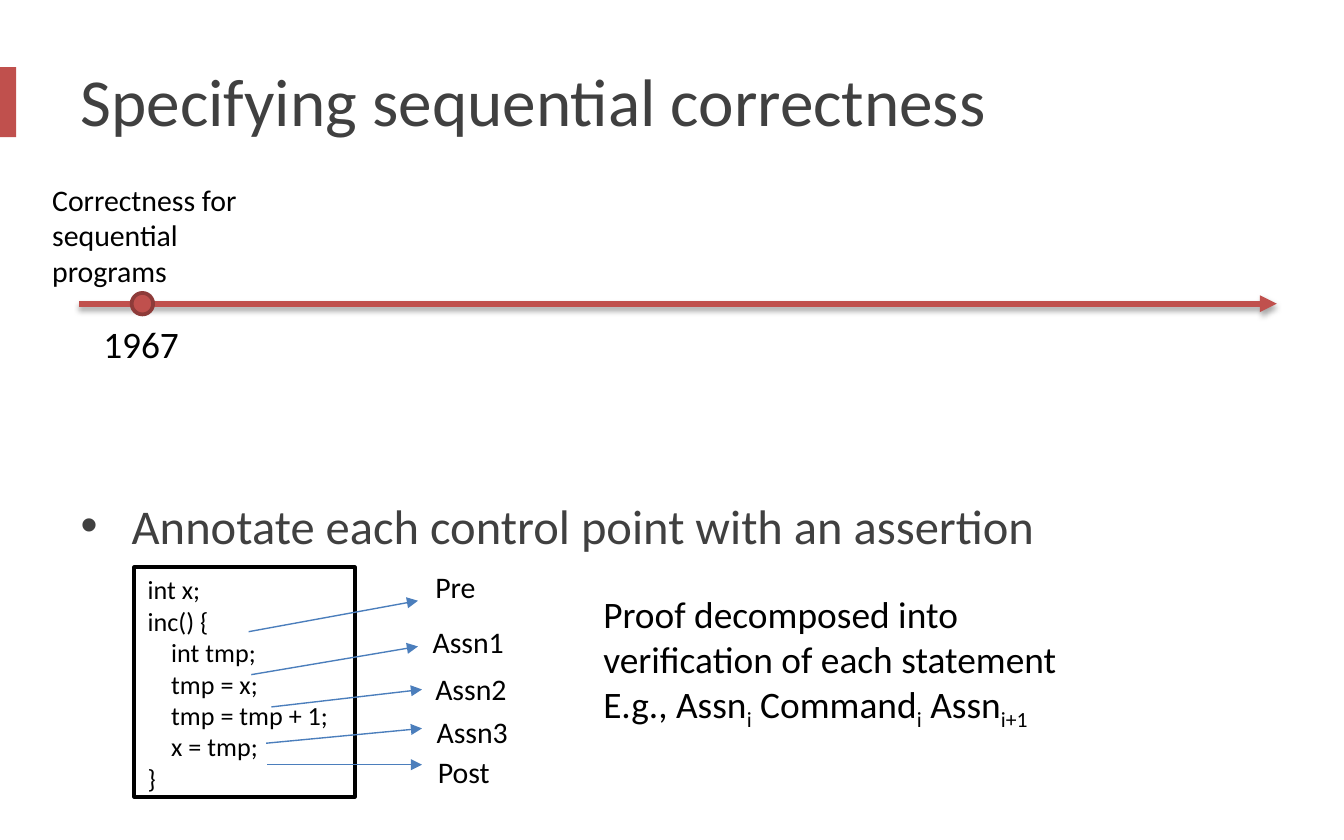
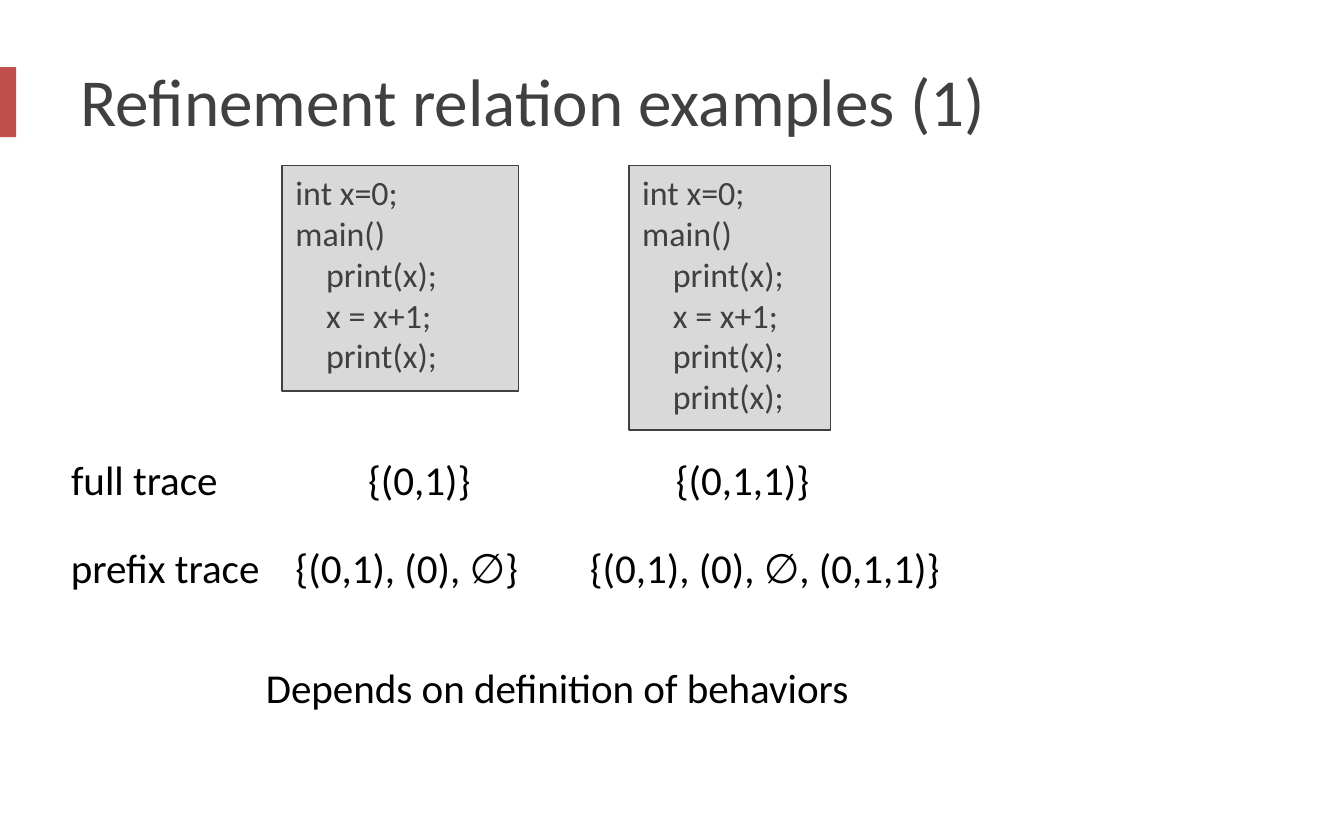
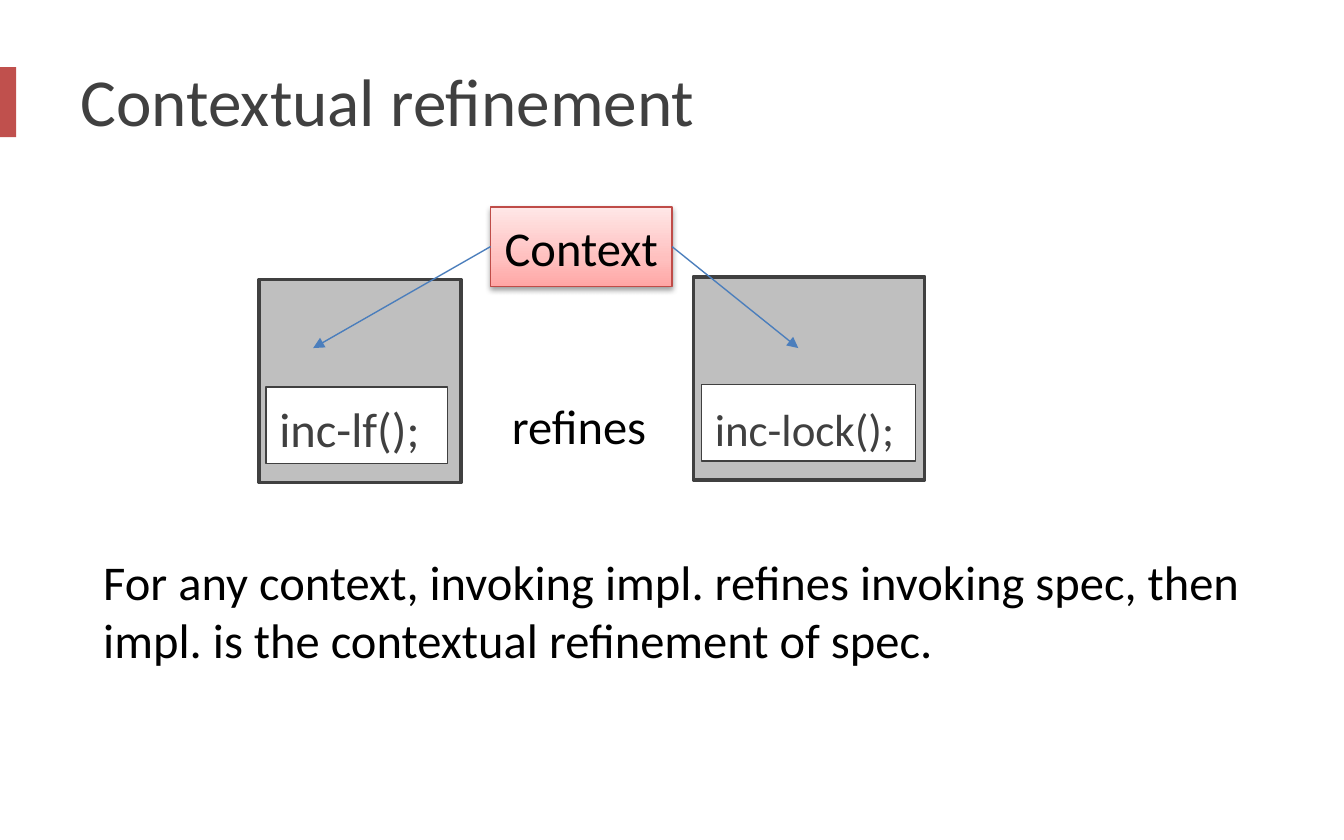
from dataclasses import dataclass
from typing import NamedTuple, Optional

from lxml.etree import SubElement
from pptx import Presentation
from pptx.dml.color import RGBColor
from pptx.enum.shapes import MSO_CONNECTOR, MSO_SHAPE
from pptx.enum.text import MSO_ANCHOR, MSO_AUTO_SIZE, PP_ALIGN
from pptx.oxml.ns import qn
from pptx.util import Inches, Pt

FONT = "Calibri"
BLACK = RGBColor(0x00, 0x00, 0x00)
WHITE = RGBColor(0xFF, 0xFF, 0xFF)
DARK = RGBColor(0x40, 0x40, 0x40)
LIGHT_GRAY = RGBColor(0xD9, 0xD9, 0xD9)
GRAY = RGBColor(0xBF, 0xBF, 0xBF)
RED = RGBColor(0xC0, 0x50, 0x4D)
DARK_RED = RGBColor(0x8E, 0x3B, 0x39)
CONTEXT_RED = RGBColor(0xBF, 0x4C, 0x48)
BLUE = RGBColor(0x4B, 0x7E, 0xBC)
CONTEXT_STOPS = ((0, "FFA6A5"), (35, "FFC0BF"), (100, "FFE7E7"))

TITLE_AND_CONTENT, TITLE_ONLY = 1, 5


class Label(NamedTuple):
    text: str
    x: float
    y: float
    w: float
    h: float
    size: float


@dataclass
class Box:
    x: float
    y: float
    w: float
    h: float
    fill: Optional[RGBColor]
    line: Optional[RGBColor]
    width: float = 0.75
    text: str = ""
    size: float = 18
    color: RGBColor = DARK
    spacing: float = 1.0
    shape: MSO_SHAPE = MSO_SHAPE.RECTANGLE


class Arrow(NamedTuple):
    x1: float
    y1: float
    x2: float
    y2: float
    color: RGBColor = BLUE
    width: float = 0.75


# Helpers
def place(sp, x: float, y: float, w: float, h: float) -> None:
    sp.left, sp.top, sp.width, sp.height = map(Inches, (x, y, w, h))


def style_run(r, size: float, color: RGBColor) -> None:
    r.font.name = FONT
    r.font.size = Pt(size)
    r.font.color.rgb = color


def style_text(tf, size: float, color: RGBColor, align=PP_ALIGN.LEFT, spacing: float = 1.0) -> None:
    for p in tf.paragraphs:
        p.alignment = align
        p.line_spacing = spacing
        for r in p.runs:
            style_run(r, size, color)


def add_label(s, label: Label):
    sp = s.shapes.add_textbox(*map(Inches, label[1:5]))
    tf = sp.text_frame
    tf.word_wrap = True
    tf.auto_size = MSO_AUTO_SIZE.SHAPE_TO_FIT_TEXT
    tf.text = label.text
    style_text(tf, label.size, BLACK)
    return sp


def add_box(s, box: Box):
    sp = s.shapes.add_shape(box.shape, *map(Inches, (box.x, box.y, box.w, box.h)))
    sp.shadow.inherit = False
    if box.fill is not None:
        sp.fill.solid()
        sp.fill.fore_color.rgb = box.fill
    if box.line is None:
        sp.line.fill.background()
    else:
        sp.line.color.rgb = box.line
        sp.line.width = Pt(box.width)
    if box.text:
        tf = sp.text_frame
        tf.vertical_anchor = MSO_ANCHOR.TOP
        tf.text = box.text
        style_text(tf, box.size, box.color, spacing=box.spacing)
    return sp


def add_arrow(s, arrow: Arrow):
    cx = s.shapes.add_connector(MSO_CONNECTOR.STRAIGHT, *map(Inches, arrow[:4]))
    cx.line.color.rgb = arrow.color
    cx.line.width = Pt(arrow.width)
    SubElement(cx.line._get_or_add_ln(), qn("a:tailEnd"), type="triangle")
    SubElement(cx.element.spPr, qn("a:effectLst"))
    return cx


def add_shadow(sp, alpha: int, blur: float, dist: float) -> None:
    """Drop a black shadow straight down."""
    effects = sp.element.spPr.find(qn("a:effectLst"))
    shadow = SubElement(effects, qn("a:outerShdw"), blurRad=str(Pt(blur)), dist=str(Pt(dist)),
                        dir="5400000", rotWithShape="0")
    color = SubElement(shadow, qn("a:srgbClr"), val="000000")
    SubElement(color, qn("a:alpha"), val=str(alpha * 1000))


def fill_gradient(sp, stops, angle: float) -> None:
    sp.fill.gradient()
    sp.fill.gradient_angle = angle
    gs_list = sp.element.spPr.find(".//" + qn("a:gsLst"))
    for gs in list(gs_list):
        gs_list.remove(gs)
    for position, color in stops:
        gs = SubElement(gs_list, qn("a:gs"), pos=str(position * 1000))
        SubElement(gs, qn("a:srgbClr"), val=color)


def add_slide(prs, layout: int, title: str):
    s = prs.slides.add_slide(prs.slide_layouts[layout])
    sp = s.shapes.title
    place(sp, 0.5, 0.25, 9, 0.98)
    tf = sp.text_frame
    tf.text = title
    tf.vertical_anchor = MSO_ANCHOR.MIDDLE
    tf.auto_size = MSO_AUTO_SIZE.NONE
    style_text(tf, 36, DARK)
    return s


def add_master_band(prs, s) -> None:
    """Move the red band to the master, behind everything else."""
    band = add_box(s, Box(-0.06, 0.5, 0.18, 0.52, RED, None))
    prs.slide_master.shapes.element.insert(2, band.element)


# Slides
def sequential_slide(prs):
    s = add_slide(prs, TITLE_AND_CONTENT, "Specifying sequential correctness")

    # Bullet
    body = s.placeholders[1]
    place(body, 0.5, 3.55, 9, 0.64)
    tf = body.text_frame
    tf.auto_size = MSO_AUTO_SIZE.NONE
    tf.text = "Annotate each control point with an assertion"
    p = tf.paragraphs[0]
    pPr = p._p.get_or_add_pPr()
    pPr.set("marL", str(Inches(0.38)))
    pPr.set("indent", str(-Inches(0.38)))
    SubElement(pPr, qn("a:buChar"), char="•")
    p.space_before = Pt(0)
    style_text(tf, 26, DARK, spacing=1.2)

    # Timeline
    timeline = add_arrow(s, Arrow(0.59, 2.26, 9.5, 2.26, RED, 3))
    add_shadow(timeline, 35, 3.1, 1.8)
    add_box(s, Box(0.98, 2.18, 0.16, 0.16, RED, DARK_RED, 2, shape=MSO_SHAPE.OVAL))
    add_label(s, Label("1967", 0.67, 2.34, 0.79, 0.44, 20))
    add_label(s, Label("Correctness for sequential programs", 0.29, 1.3, 1.97, 0.91, 16))

    # Program and its assertions
    program = "int x;\ninc() {\n    int tmp;\n    tmp = x;\n    tmp = tmp + 1;\n    x = tmp;\n}"
    add_box(s, Box(1, 4.22, 1.64, 1.71, WHITE, BLACK, 2, program, 14, BLACK))
    assertions = [
        ("Pre", 3.14, 4.18, Arrow(1.85, 4.7, 3.11, 4.47)),
        ("Assn1", 3.12, 4.59, Arrow(1.87, 5.02, 3.11, 4.81)),
        ("Assn2", 3.14, 4.94, Arrow(2.02, 5.26, 3.14, 5.13)),
        ("Assn3", 3.15, 5.26, Arrow(1.98, 5.53, 3.14, 5.42)),
        ("Post", 3.16, 5.56, Arrow(1.99, 5.69, 3.14, 5.69)),
    ]
    for name, x, y, arrow in assertions:
        add_arrow(s, arrow)
        add_label(s, Label(name, x, y, 0.92, 0.37, 16))

    # Proof rule with subscripts
    proof = add_label(s, Label("Proof decomposed into verification of each statement",
                               4.39, 4.35, 3.99, 1.11, 20))
    p = proof.text_frame.add_paragraph()
    for base, index in (("E.g., Assn", "i"), (" Command", "i"), (" Assn", "i+1")):
        for text, offset in ((base, 0), (index, -25000)):
            r = p.add_run()
            r.text = text
            style_run(r, 20, BLACK)
            if offset:
                r._r.get_or_add_rPr().set("baseline", str(offset))
    return s


def refinement_slide(prs) -> None:
    s = add_slide(prs, TITLE_ONLY, "Refinement relation examples (1)")

    # Two programs; the second prints once more
    program = "int x=0;\nmain()\n    print(x);\n    x = x+1;\n    print(x);"
    for x, w, h, code in ((2.1, 1.76, 1.68, program),
                          (4.68, 1.5, 1.97, program + "\n    print(x);")):
        add_box(s, Box(x, 1.23, w, h, LIGHT_GRAY, DARK, text=code, size=18.2))

    # Traces, one row per definition of behavior
    traces = {
        3.33: (("full trace", 0.43, 1.38), ("{(0,1)}", 2.64, 1.25), ("{(0,1,1)}", 4.93, 1.25)),
        3.99: (("prefix trace", 0.43, 1.76), ("{(0,1), (0), ∅}", 2.1, 1.92),
               ("{(0,1), (0), ∅, (0,1,1)}", 4.29, 2.81)),
        4.88: (("Depends on definition of behaviors", 1.88, 5.79),),
    }
    for y, row in traces.items():
        for text, x, w in row:
            add_label(s, Label(text, x, y, w, 0.47, 22))


def contextual_slide(prs) -> None:
    s = add_slide(prs, TITLE_ONLY, "Contextual refinement")

    # Specification and implementation
    add_box(s, Box(5.16, 2.06, 1.72, 1.51, GRAY, DARK, 2))
    add_box(s, Box(1.93, 2.08, 1.5, 1.51, GRAY, DARK, 2))
    add_box(s, Box(1.98, 2.88, 1.35, 0.57, WHITE, DARK, text="inc-lf();", size=26, spacing=1.1))
    add_box(s, Box(5.22, 2.86, 1.59, 0.57, WHITE, DARK, text="inc-lock();", size=24.1, spacing=1.2))
    add_label(s, Label("refines", 3.71, 2.9, 1.5, 0.54, 26))

    # Context and its arrows
    context = add_box(s, Box(3.65, 1.54, 1.35, 0.59, None, CONTEXT_RED))
    fill_gradient(context, CONTEXT_STOPS, 90)
    add_shadow(context, 38, 3.1, 1.6)
    tf = context.text_frame
    tf.text = "Context"
    tf.vertical_anchor = MSO_ANCHOR.MIDDLE
    style_text(tf, 26, BLACK, PP_ALIGN.CENTER)
    for side, arrow in ((1, Arrow(3.65, 1.84, 2.33, 2.59)), (3, Arrow(5, 1.84, 5.94, 2.59))):
        add_arrow(s, arrow).begin_connect(context, side)

    add_label(s, Label("For any context, invoking impl. refines invoking spec, then impl. "
                       "is the contextual refinement of spec.", 0.67, 4.06, 8.7, 0.98, 26))


def main() -> None:
    prs = Presentation()
    prs.slide_width, prs.slide_height = Inches(10), Inches(6.25)
    first = sequential_slide(prs)
    add_master_band(prs, first)
    refinement_slide(prs)
    contextual_slide(prs)
    prs.save("out.pptx")


if __name__ == "__main__":
    main()
